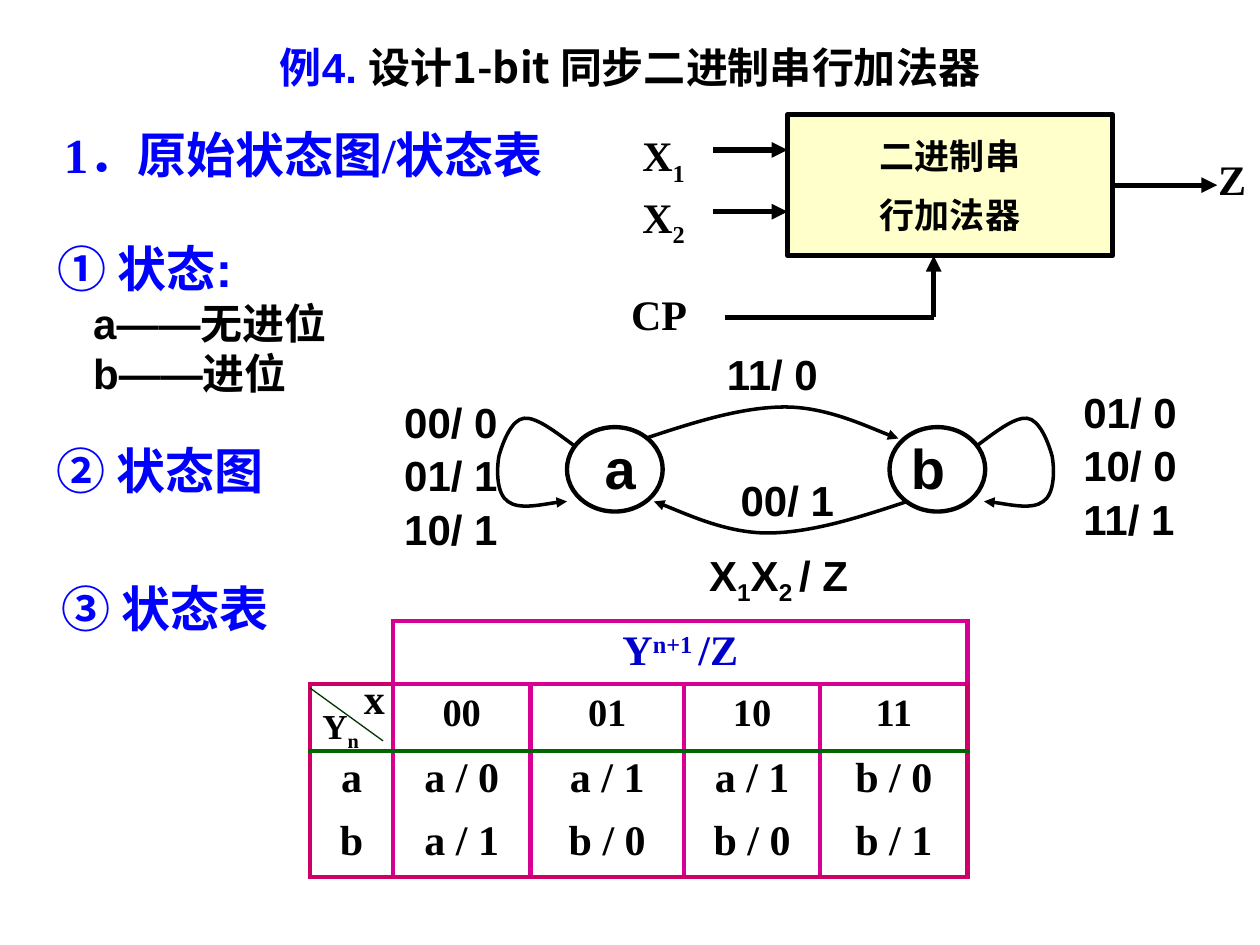
import pptx
import pptx.util
import pptx.dml.color
import pptx.enum.shapes
import pptx.enum.text
import pptx.oxml.ns
import lxml.etree

PX = 9144  # 100 px to the inch
THEME = dict(
    blue="0000FF", navy="0000CC", black="000000", white="FFFFFF", cream="FFFFCC",
    rose="CC0066", pink="D60093", green="006600", dark="003300",
    sans="Arial", serif="Times New Roman", han="Noto Sans CJK SC",
    head=28, text=24, node=32, small=20, code=22,
)
Pt = pptx.util.Pt
SHAPE = pptx.enum.shapes.MSO_SHAPE
ALIGN = pptx.enum.text.PP_ALIGN
ANCHOR = pptx.enum.text.MSO_ANCHOR
qn = pptx.oxml.ns.qn


def write(para, runs, size, face="sans", tint="black", shift=-25000):
    """Write runs; every second one is a subscript or superscript."""
    for num, part in enumerate(runs):
        run = para.add_run()
        run.text = part
        if num % 2:
            run._r.get_or_add_rPr().set("baseline", str(shift))
    font = para.font
    font.size, font.bold, font.name = Pt(THEME[size]), True, THEME[face]
    font.color.rgb = pptx.dml.color.RGBColor.from_string(THEME[tint])


def stroke(item, width, tint="black", arrow=False):
    """Give a shape or connector a plain line, with no shadow."""
    item.line.width = Pt(width)
    item.line.color.rgb = pptx.dml.color.RGBColor.from_string(THEME[tint])
    if arrow:
        lxml.etree.SubElement(item.line._get_or_add_ln(), qn("a:tailEnd"), type="triangle")
    lxml.etree.SubElement(item._element.spPr, qn("a:effectLst"))


deck = pptx.Presentation()
deck.slide_width, deck.slide_height = 1000 * PX, 750 * PX
slide = deck.slides.add_slide(deck.slide_layouts[1])
shapes = slide.shapes

# Title and list of states
title, body = shapes.title, slide.placeholders[1]
for holder, box in ((title, (122, 28, 756, 51)), (body, (36, 184, 279, 178))):
    holder.left, holder.top, holder.width, holder.height = [n * PX for n in box]
    holder.text_frame.auto_size = pptx.enum.text.MSO_AUTO_SIZE.NONE
    holder.text_frame.vertical_anchor = ANCHOR.TOP

para = title.text_frame.paragraphs[0]
para.alignment = ALIGN.CENTER
write(para, [], "text")
for words, face, tint in (("例4. ", "sans", "blue"),
                          ("设计1-bit 同步二进制串行加法器", "han", "black")):
    run = para.add_run()
    run.text = words
    run.font.name = THEME[face]
    run.font.color.rgb = pptx.dml.color.RGBColor.from_string(THEME[tint])

states = (("① 状态:", "head", "blue", 0), ("a——无进位", "text", "black", 28),
          ("b——进位", "text", "black", 28))
for num, (words, size, tint, left) in enumerate(states):
    para = body.text_frame.add_paragraph() if num else body.text_frame.paragraphs[0]
    props = para._p.get_or_add_pPr()
    props.set("marL", str(left * PX))
    props.set("indent", "0")
    para.space_before = Pt(0)
    lxml.etree.SubElement(props, qn("a:buNone"))
    write(para, [words], size, tint=tint)

# Adder block with its inputs, clock and output
block = shapes.add_shape(SHAPE.RECTANGLE, 625 * PX, 91 * PX, 258 * PX, 112 * PX)
block.fill.solid()
block.fill.fore_color.rgb = pptx.dml.color.RGBColor.from_string(THEME["cream"])
stroke(block, 3)
frame = block.text_frame
frame.vertical_anchor = ANCHOR.MIDDLE
for num, words in enumerate(("二进制串", "行加法器")):
    para = frame.add_paragraph() if num else frame.paragraphs[0]
    para.alignment = ALIGN.CENTER
    para.space_before = Pt(10 * num)
    write(para, [words], "small", "han")

wires = ((566, 119, 625, 119, True), (566, 168, 625, 168, True), (575, 252, 741, 252, False),
         (741, 252, 741, 203, True), (883, 147, 966, 147, True))
for *ends, arrow in wires:
    wire = shapes.add_connector(pptx.enum.shapes.MSO_CONNECTOR.STRAIGHT, *[n * PX for n in ends])
    stroke(wire, 3, arrow=arrow)

# State circles
for left in (450, 706):
    ring = shapes.add_shape(SHAPE.OVAL, left * PX, 339 * PX, 76 * PX, 67 * PX)
    ring.fill.background()
    stroke(ring, 2.5)

# Transitions: a start point, then three points for each Bezier piece
loop = [(456, 354), (441, 343), (426, 331), (416, 332), (406, 333), (399, 351), (396, 362),
        (394, 373), (394, 392), (403, 398), (412, 405), (442, 398), (450, 398)]
over = [(512, 348), (551, 335), (589, 323), (623, 323), (656, 323), (698, 343), (713, 348)]
turn = [(1231 - x, y) for x, y in loop]
under = [(1232 - x, 746 - y) for x, y in over]
for curve in (loop, turn, over, under):
    start, *dots = [(x * PX, y * PX) for x, y in curve]
    pen = shapes.build_freeform(*start)
    pen.add_line_segments(dots, close=False)
    arc = pen.convert_to_shape()
    # Join each three line steps into one cubic step
    steps = list(arc._element.iter(qn("a:lnTo")))
    for first, second, third in zip(steps[::3], steps[1::3], steps[2::3]):
        cubic = lxml.etree.Element(qn("a:cubicBezTo"))
        first.addprevious(cubic)
        for step in (first, second, third):
            cubic.append(step[0])
            step.getparent().remove(step)
    arc.fill.background()
    stroke(arc, 2, arrow=True)

# State table: the top left cell stays open
cols, rows = (66, 109, 122, 108, 117), (50, 53, 50, 50)
table = shapes.add_table(4, 5, 246 * PX, 493 * PX, sum(cols) * PX, sum(rows) * PX).table
table.first_row = table.horz_banding = False
for col, wide in zip(table.columns, cols):
    col.width = wide * PX
for row, high in zip(table.rows, rows):
    row.height = high * PX
table.cell(0, 1).merge(table.cell(0, 4))
grid = ((), ("", "00", "01", "10", "11"), ("a", "a / 0", "a / 1", "a / 1", "b / 0"),
        ("b", "a / 1", "b / 0", "b / 0", "b / 1"))
for y in range(4):
    for x in range(5):
        cell = table.cell(y, x)
        level = ("pink" if x else None, "pink" if x else "rose", "green", None, "rose")
        edges = {
            "lnL": "pink" if x else "rose" if y else None,
            "lnR": "rose" if y and x == 4 else "pink",
            "lnT": level[y],
            "lnB": level[y + 1],
        }
        for side, tint in edges.items():
            width = 2.25 if tint == "green" else 3
            edge = lxml.etree.SubElement(cell._tc.get_or_add_tcPr(), qn("a:" + side),
                                         w=str(Pt(width)))
            ink = lxml.etree.SubElement(edge, qn("a:solidFill" if tint else "a:noFill"))
            if tint:
                lxml.etree.SubElement(ink, qn("a:srgbClr"), val=THEME[tint])
        if y or x:
            cell.fill.solid()
            cell.fill.fore_color.rgb = pptx.dml.color.RGBColor.from_string(THEME["white"])
        else:
            cell.fill.background()
        cell.margin_top, cell.margin_bottom = 0, (6 if y else 2) * PX
        cell.vertical_anchor = ANCHOR.MIDDLE
        para = cell.text_frame.paragraphs[0]
        para.alignment = ALIGN.CENTER
        if y and grid[y][x]:
            write(para, [grid[y][x]], "code" if y == 1 else "text", "serif")
write(table.cell(0, 1).text_frame.paragraphs[0], ("Y", "n+1 ", "/Z"), "text", "serif",
      "navy", 30000)
slash = shapes.add_connector(pptx.enum.shapes.MSO_CONNECTOR.STRAIGHT,
                             246 * PX, 546 * PX, 304 * PX, 588 * PX)
stroke(slash, 0.75, "dark")

# Labels: place, lines of runs, size, font, colour
labels = (
    (41, 94, 497, 57, [["1．原始状态图/状态表"]], "head", "serif", "blue"),
    (35, 345, 287, 57, [["② 状态图"]], "head", "sans", "blue"),
    (39, 454, 272, 57, [["③ 状态表"]], "head", "sans", "blue"),
    (500, 98, 58, 50, [["X", "1"]], "text", "serif", "black"),
    (500, 147, 58, 50, [["X", "2"]], "text", "serif", "black"),
    (491, 224, 75, 50, [["CP"]], "text", "serif", "black"),
    (957, 117, 43, 50, [["Z"]], "text", "serif", "black"),
    (470, 339, 48, 63, [["a"]], "node", "sans", "black"),
    (713, 339, 48, 63, [["b"]], "node", "sans", "black"),
    (567, 272, 110, 50, [["11/ 0"]], "text", "sans", "black"),
    (578, 372, 110, 50, [["00/ 1"]], "text", "sans", "black"),
    (311, 322, 111, 128, [["00/ 0"], ["01/ 1"], ["10/ 1"]], "text", "sans", "black"),
    (850, 314, 111, 128, [["01/ 0"], ["10/ 0"], ["11/ 1"]], "text", "sans", "black"),
    (553, 431, 142, 50, [["X", "1", "X", "2 ", "/ Z"]], "text", "sans", "black"),
    (246, 554, 55, 43, [["Y", "n"]], "small", "serif", "black"),
    (279, 529, 50, 50, [["x"]], "text", "serif", "black"),
)
for *box, lines, size, face, tint in labels:
    frame = shapes.add_textbox(*[n * PX for n in box]).text_frame
    frame.word_wrap = True
    for num, runs in enumerate(lines):
        para = frame.add_paragraph() if num else frame.paragraphs[0]
        if len(lines) > 1:
            para.line_spacing = 0.65
            para.space_before = Pt(12 if num else 0)
        write(para, runs, size, face, tint)

deck.save("out.pptx")
